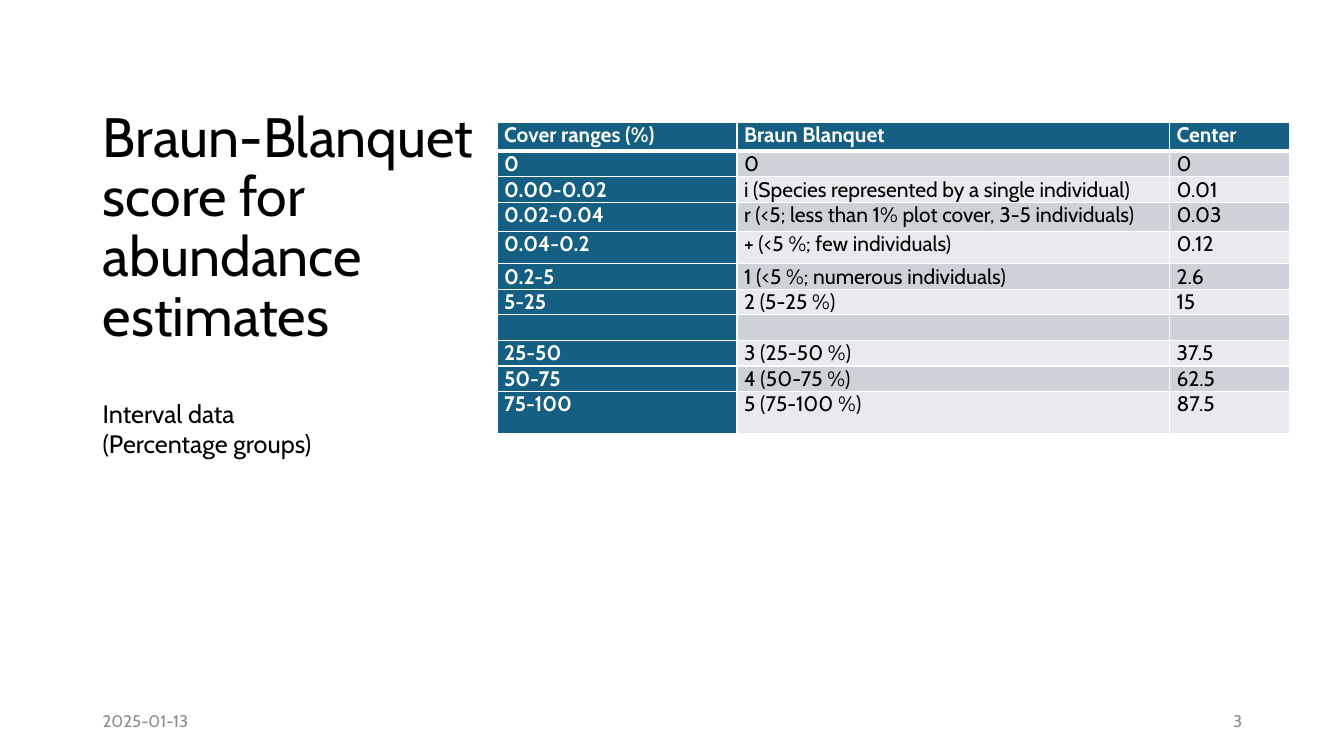
"""Build the slide on Braun-Blanquet cover scores."""
from dataclasses import dataclass

from lxml import etree
from pptx import Presentation
from pptx.dml.color import RGBColor
from pptx.enum.text import MSO_ANCHOR, MSO_AUTO_SIZE, PP_ALIGN
from pptx.oxml.ns import qn
from pptx.slide import Slide
from pptx.table import _Cell
from pptx.util import Pt

LEFT, RIGHT, JUSTIFY = PP_ALIGN.LEFT, PP_ALIGN.RIGHT, PP_ALIGN.JUSTIFY
TOP, MIDDLE = MSO_ANCHOR.TOP, MSO_ANCHOR.MIDDLE
PX = 9144
FONT = "Cabin"
TITLE_ONLY = 5
TITLE_SIZE, CELL_SIZE = 39.6, 15
COLORS = {
    "text": "000000",
    "footer": "8C8C8C",
    "white": "FFFFFF",
    "header": "156082",
    "odd": "CCD2D8",
    "even": "E8EAED",
}


@dataclass(frozen=True)
class Label:
    """A text box with its place in px and its text format."""

    box: tuple[int, int, int, int]
    lines: tuple[str, ...]
    size: float
    color: str = "text"
    align: PP_ALIGN = LEFT
    anchor: MSO_ANCHOR = MIDDLE
    space_after: int = 0


@dataclass(frozen=True)
class CoverClass:
    """One row of the score table."""

    cover: str = ""
    score: str = ""
    center: str = ""
    height: int = 25


TITLE = Label((92, 94, 402, 266), ("Braun-Blanquet\vscore for abundance estimates",), TITLE_SIZE)
LABELS = (
    Label((92, 695, 300, 40), ("2025-01-13",), 12, "footer", space_after=6),
    Label((942, 695, 300, 40), ("3",), 12, "footer", RIGHT, space_after=6),
    Label((92, 390, 378, 71), ("Interval data", "(Percentage groups)"), 18, anchor=TOP),
)
TABLE_LEFT, TABLE_TOP = 493, 121
COLUMN_WIDTHS = (238, 429, 119)
COVER_CLASSES = (
    CoverClass("Cover ranges (%)", "Braun Blanquet", "Center", 29),
    CoverClass("0", "0", "0"),
    CoverClass("0.00-0.02", "i (Species represented by a single individual)", "0.01"),
    CoverClass("0.02-0.04", "r (<5; less than 1% plot cover, 3-5 individuals) ", "0.03", 29),
    CoverClass("0.04-0.2", "+ (<5 %; few individuals)", "0.12", 32),
    CoverClass("0.2-5", "1 (<5 %; numerous individuals)", "2.6"),
    CoverClass("5-25", "2 (5-25 %)", "15"),
    CoverClass(),
    CoverClass("25-50", "3 (25-50 %)", "37.5"),
    CoverClass("50-75", "4 (50-75 %)", "62.5"),
    CoverClass("75-100", "5 (75-100 %)", "87.5", 42),
)


def apply_format(target: object, values: dict[str, object]) -> None:
    """Set each named attribute on the target."""
    for name, value in values.items():
        setattr(target, name, value)


def format_runs(paragraph: object, size: float, color: str, bold: bool = False) -> None:
    """Give every run, line break and empty paragraph its font."""
    for run in paragraph.runs:
        apply_format(run.font, {"name": FONT, "size": Pt(size), "bold": bold})
        run.font.color.rgb = RGBColor.from_string(COLORS[color])
    hundredths = str(round(size * 100))
    for line_break in paragraph._p.findall(qn("a:br")):
        etree.SubElement(line_break, qn("a:rPr"), sz=hundredths)
    if not paragraph.runs:
        ending = etree.SubElement(paragraph._p, qn("a:endParaRPr"), sz=hundredths)
        etree.SubElement(ending, qn("a:latin"), typeface=FONT)


def fill_label(shape: object, label: Label, line_spacing: float = 1.0) -> None:
    """Write the label's lines into a shape."""
    frame = shape.text_frame
    apply_format(frame, {"word_wrap": True, "auto_size": MSO_AUTO_SIZE.NONE,
                         "vertical_anchor": label.anchor})
    for index, line in enumerate(label.lines):
        paragraph = frame.add_paragraph() if index else frame.paragraphs[0]
        apply_format(paragraph, {"text": line, "alignment": label.align,
                                 "space_after": Pt(label.space_after),
                                 "line_spacing": line_spacing})
        format_runs(paragraph, label.size, label.color)


def add_title(slide: Slide, label: Label) -> None:
    """Move and fill the title placeholder."""
    left, top, width, height = (length * PX for length in label.box)
    title = slide.shapes.title
    apply_format(title, {"left": left, "top": top, "width": width, "height": height})
    fill_label(title, label, 0.9)


def add_label(slide: Slide, label: Label) -> None:
    """Add one text box."""
    fill_label(slide.shapes.add_textbox(*(length * PX for length in label.box)), label)


def add_borders(cell: _Cell, widths: dict[str, int]) -> None:
    """Draw white borders with the given widths in points."""
    properties = cell._tc.get_or_add_tcPr()
    for side, width in widths.items():
        line = etree.SubElement(properties, qn(f"a:ln{side}"), w=str(Pt(width)))
        fill = etree.SubElement(line, qn("a:solidFill"))
        etree.SubElement(fill, qn("a:srgbClr"), val=COLORS["white"])


def fill_cell(cell: _Cell, text: str, row: int, column: int) -> None:
    """Write and format one table cell."""
    is_header = row == 0 or column == 0
    fill = "header" if is_header else "odd" if row % 2 else "even"
    apply_format(cell, {"text": text, "margin_left": 7 * PX, "margin_right": 7 * PX,
                        "margin_top": 0, "margin_bottom": 0, "vertical_anchor": TOP})
    add_borders(cell, {"L": 1, "R": 1, "T": 3 if row == 1 else 1, "B": 3 if row == 0 else 1})
    cell.fill.solid()
    cell.fill.fore_color.rgb = RGBColor.from_string(COLORS[fill])
    paragraph = cell.text_frame.paragraphs[0]
    paragraph.alignment = JUSTIFY
    format_runs(paragraph, CELL_SIZE, "white" if is_header else "text", is_header)


def add_score_table(slide: Slide) -> None:
    """Add the table of cover classes."""
    width = sum(COLUMN_WIDTHS)
    height = sum(cover_class.height for cover_class in COVER_CLASSES)
    table = slide.shapes.add_table(
        len(COVER_CLASSES), len(COLUMN_WIDTHS),
        TABLE_LEFT * PX, TABLE_TOP * PX, width * PX, height * PX,
    ).table
    apply_format(table, {"first_row": True, "first_col": True, "horz_banding": False})
    for column, column_width in zip(table.columns, COLUMN_WIDTHS):
        column.width = column_width * PX
    for row, cover_class in enumerate(COVER_CLASSES):
        table.rows[row].height = cover_class.height * PX
        texts = (cover_class.cover, cover_class.score, cover_class.center)
        for column, text in enumerate(texts):
            fill_cell(table.cell(row, column), text, row, column)


def main() -> None:
    """Build and save the presentation."""
    presentation = Presentation()
    apply_format(presentation, {"slide_width": 1333 * PX, "slide_height": 750 * PX})
    slide = presentation.slides.add_slide(presentation.slide_layouts[TITLE_ONLY])
    add_title(slide, TITLE)
    add_score_table(slide)
    for label in LABELS:
        add_label(slide, label)
    presentation.save("out.pptx")


if __name__ == "__main__":
    main()
